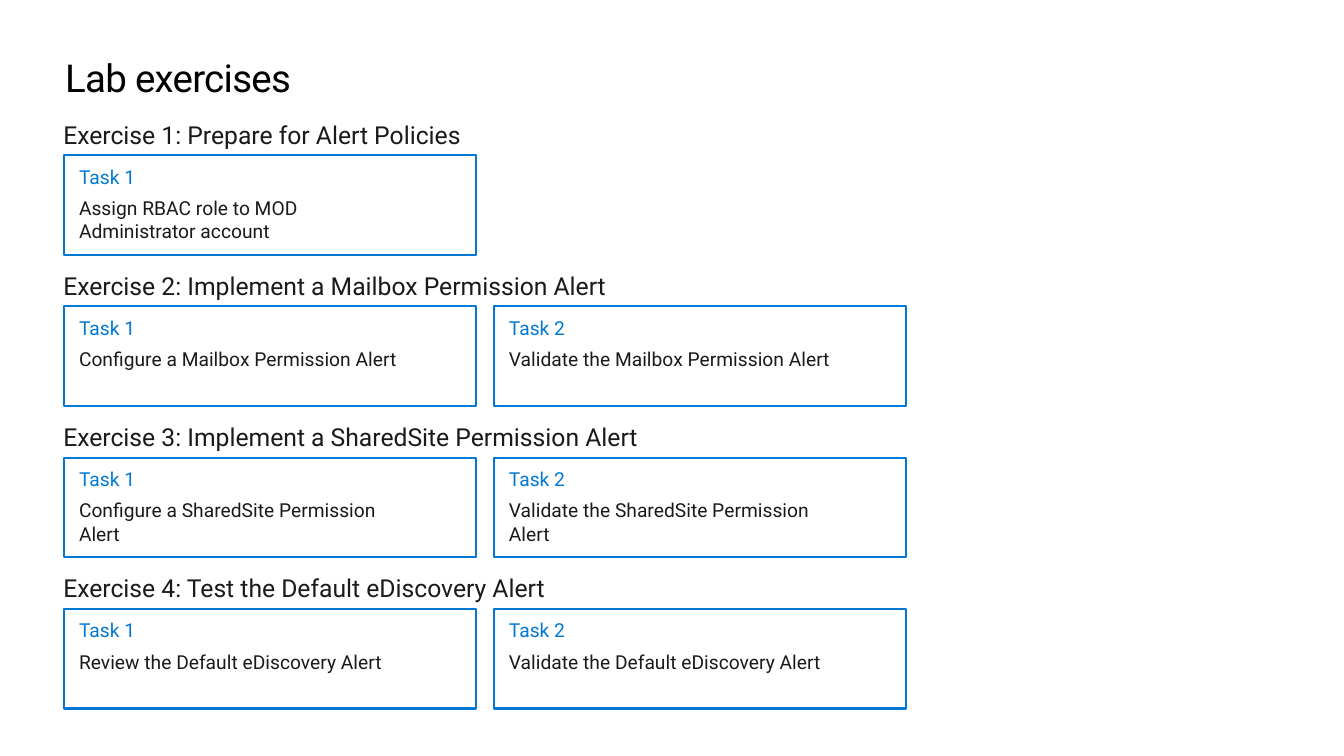
from copy import deepcopy
from dataclasses import dataclass

from pptx import Presentation
from pptx.dml.color import RGBColor
from pptx.enum.shapes import MSO_SHAPE
from pptx.enum.text import MSO_ANCHOR, PP_ALIGN
from pptx.oxml.ns import qn
from pptx.util import Inches, Pt

RECTANGLE = MSO_SHAPE.RECTANGLE
TOP, MIDDLE = MSO_ANCHOR.TOP, MSO_ANCHOR.MIDDLE
LEFT = PP_ALIGN.LEFT
TITLE_ONLY = 5


@dataclass(frozen=True)
class Theme:
    font: str = "Roboto"
    black: RGBColor = RGBColor(0x00, 0x00, 0x00)
    text: RGBColor = RGBColor(0x1A, 0x1A, 0x1A)
    accent: RGBColor = RGBColor(0x00, 0x78, 0xD4)
    title_size: int = 28
    heading_size: int = 18
    task_size: int = 14
    border_width: float = 1.5


EXERCISES = [
    ("Prepare for Alert Policies",
     ["Assign RBAC role to MOD \nAdministrator account"]),
    ("Implement a Mailbox Permission Alert",
     ["Configure a Mailbox Permission Alert",
      "Validate the Mailbox Permission Alert"]),
    ("Implement a SharedSite Permission Alert",
     ["Configure a SharedSite Permission \nAlert",
      "Validate the SharedSite Permission \nAlert"]),
    ("Test the Default eDiscovery Alert",
     ["Review the Default eDiscovery Alert",
      "Validate the Default eDiscovery Alert"]),
]
CARD_LEFT, CARD_TOP = 0.65, 1.57
CARD_WIDTH, CARD_HEIGHT = 4.17, 1.01
COLUMN_STEP, ROW_STEP = 4.35, 1.53
HEADING_LEFT, HEADING_RISE = 0.64, 0.36
HEADING_WIDTH, HEADING_HEIGHT = 8.52, 0.3


class SlideBuilder:
    def __init__(self, presentation, theme):
        self.theme = theme
        self.slide = presentation.slides.add_slide(
            presentation.slide_layouts[TITLE_ONLY])

    def set_frame(self, frame, anchor, horizontal=0, vertical=0):
        frame_format = {
            "word_wrap": True,
            "vertical_anchor": anchor,
            "margin_left": Inches(horizontal),
            "margin_right": Inches(horizontal),
            "margin_top": Inches(vertical),
            "margin_bottom": Inches(vertical),
        }
        for name, value in frame_format.items():
            setattr(frame, name, value)

    def fill_paragraph(self, paragraph, text, size, color, space_after=0):
        paragraph.text = text
        paragraph.alignment = LEFT
        paragraph.space_after = Pt(space_after)
        font_format = {"name": self.theme.font, "size": Pt(size), "bold": False}
        for run in paragraph.runs:
            for name, value in font_format.items():
                setattr(run.font, name, value)
            run.font.color.rgb = color
        # Line breaks need the run's size to keep the line height.
        for line_break in paragraph._p.findall(qn("a:br")):
            line_break.append(deepcopy(paragraph.runs[0]._r.rPr))

    def title(self, text):
        title = self.slide.shapes.title
        place = {"left": 0.66, "top": 0.55, "width": 12.29, "height": 0.48}
        for name, value in place.items():
            setattr(title, name, Inches(value))
        self.set_frame(title.text_frame, TOP)
        paragraph = title.text_frame.paragraphs[0]
        self.fill_paragraph(paragraph, text,
                            self.theme.title_size, self.theme.black)
        paragraph.runs[0]._r.rPr.set("spc", "-50")

    def heading(self, text, top):
        box = self.slide.shapes.add_textbox(
            Inches(HEADING_LEFT), Inches(top),
            Inches(HEADING_WIDTH), Inches(HEADING_HEIGHT))
        self.set_frame(box.text_frame, MIDDLE)
        self.fill_paragraph(box.text_frame.paragraphs[0], text,
                            self.theme.heading_size, self.theme.text)

    def task_card(self, label, description, left, top):
        theme = self.theme
        card = self.slide.shapes.add_shape(
            RECTANGLE, Inches(left), Inches(top),
            Inches(CARD_WIDTH), Inches(CARD_HEIGHT))
        card.shadow.inherit = False
        card.fill.background()
        card.line.color.rgb = theme.accent
        card.line.width = Pt(theme.border_width)
        frame = card.text_frame
        self.set_frame(frame, TOP, horizontal=0.15, vertical=0.1)
        self.fill_paragraph(frame.paragraphs[0], label,
                            theme.task_size, theme.accent, 6)
        self.fill_paragraph(frame.add_paragraph(), description,
                            theme.task_size, theme.text, 12)


def main():
    presentation = Presentation()
    presentation.slide_width = Inches(13.6)
    presentation.slide_height = Inches(7.65)
    builder = SlideBuilder(presentation, Theme())
    builder.title("Lab exercises")
    for row, (name, tasks) in enumerate(EXERCISES):
        top = CARD_TOP + row * ROW_STEP
        builder.heading(f"Exercise {row + 1}: {name}", top - HEADING_RISE)
        for column, description in enumerate(tasks):
            builder.task_card(f"Task {column + 1}", description,
                              CARD_LEFT + column * COLUMN_STEP, top)
    presentation.save("out.pptx")


if __name__ == "__main__":
    main()
